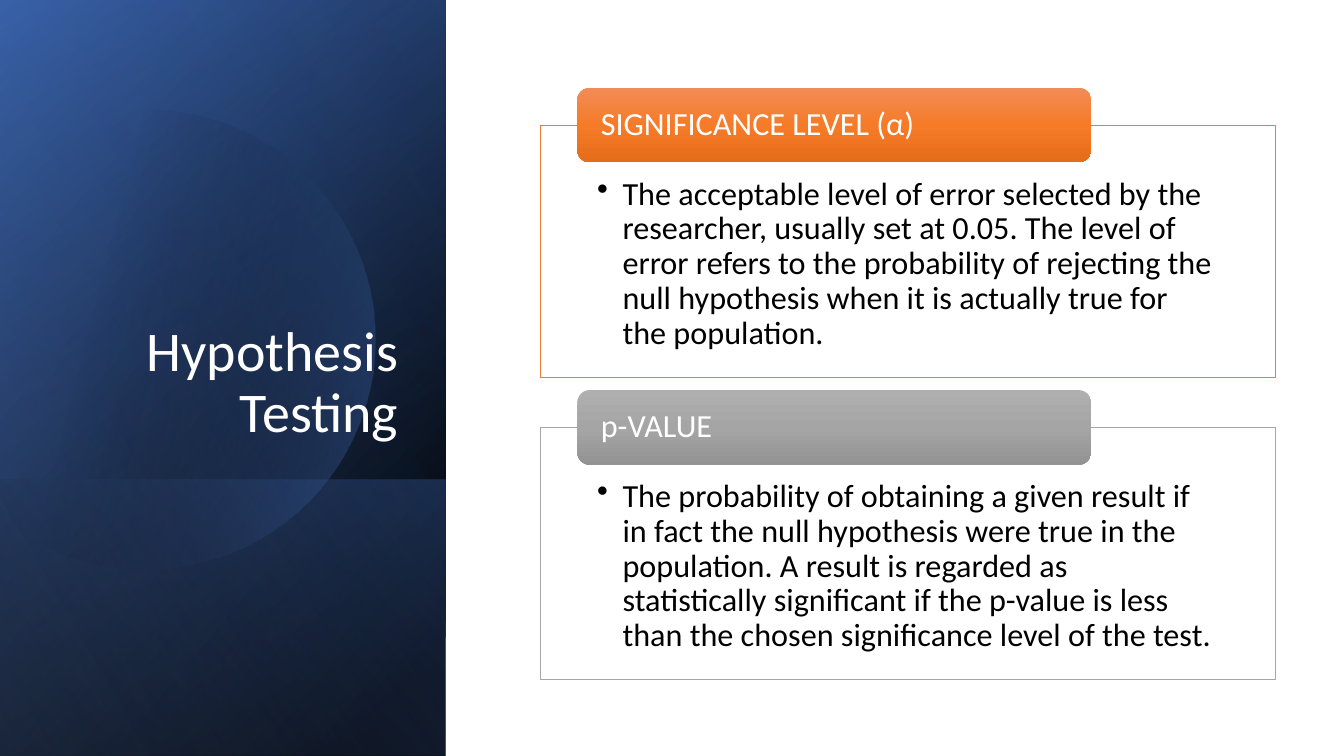
from math import acos, cos, sin

from lxml.etree import SubElement
from pptx import Presentation
from pptx.dml.color import RGBColor
from pptx.enum.shapes import MSO_SHAPE
from pptx.enum.text import MSO_ANCHOR, PP_ALIGN
from pptx.oxml.ns import qn
from pptx.util import Cm, Pt

WHITE = RGBColor(0xFF, 0xFF, 0xFF)
BLACK = RGBColor(0x00, 0x00, 0x00)
NAVY = RGBColor(0x2F, 0x55, 0x97)
BLUE = RGBColor(0x44, 0x72, 0xC4)
PALE = RGBColor(0x8F, 0xAA, 0xDC)
ORANGE = RGBColor(0xED, 0x7D, 0x31)
GRAY = RGBColor(0xA5, 0xA5, 0xA5)
ORANGES = [RGBColor(0xF1, 0x8C, 0x57), RGBColor(0xF6, 0x7B, 0x28), RGBColor(0xE5, 0x6C, 0x19)]
GRAYS = [RGBColor(0xAF, 0xAF, 0xAF), GRAY, RGBColor(0x93, 0x93, 0x93)]


def shade(shape, angle, stops):
    """Fill with a linear gradient; stops are (percent, colour, opacity percent)."""
    shape.shadow.inherit = False
    shape.line.fill.background()
    shape.fill.gradient()
    grad = shape._element.spPr.find(qn("a:gradFill"))
    for child in list(grad):
        grad.remove(child)
    group = SubElement(grad, qn("a:gsLst"))
    for pos, color, alpha in stops:
        stop = SubElement(group, qn("a:gs"), pos=str(pos * 1000))
        tint = SubElement(stop, qn("a:srgbClr"), val=str(color))
        if alpha < 100:
            SubElement(tint, qn("a:alpha"), val=str(alpha * 1000))
    SubElement(grad, qn("a:lin"), ang=str(angle * 60000), scaled="0")


def write(shape, text, size, color, anchor, align=PP_ALIGN.LEFT):
    frame = shape.text_frame
    frame.word_wrap = True
    frame.vertical_anchor = anchor
    frame.text = text
    para = frame.paragraphs[0]
    para.alignment = align
    para.line_spacing = 0.9
    para.font.name = "Calibri"
    para.font.size = Pt(size)
    para.font.color.rgb = color
    return frame


deck = Presentation()
deck.slide_width, deck.slide_height = Cm(33.87), Cm(19.05)
slide = deck.slides.add_slide(deck.slide_layouts[5])
shapes = slide.shapes

# Side panel: layered gradients with a large disc cut off at the slide's edge
wide, high, band = Cm(11.23), Cm(19.05), Cm(12.09)
layers = [
    (0, 220, [(8, BLACK, 100), (100, NAVY, 100)]),
    (0, 240, [(0, BLACK, 0), (99, BLUE, 46)]),
    (band, 140, [(2, BLUE, 29), (100, BLACK, 30)]),
    ("disc", 14, [(29, BLACK, 0), (100, BLUE, 43)]),
    (0, 150, [(0, BLACK, 0), (99, PALE, 11)]),
]
mid_x, mid_y, radius = 3.68, 8.56, 5.79
reach = acos(-mid_x / radius)
steps = 80
arc = []
for step in range(steps + 1):
    turn = reach * (2 * step / steps - 1)
    arc.append((Cm(mid_x + radius * cos(turn)), Cm(mid_y + radius * sin(turn))))

for top, angle, stops in layers:
    if top == "disc":
        pen = shapes.build_freeform(*arc[0])
        pen.add_line_segments(arc[1:], close=True)
        layer = pen.convert_to_shape()
    else:
        layer = shapes.add_shape(MSO_SHAPE.RECTANGLE, 0, top, wide, high - top)
    shade(layer, angle, stops)

title = shapes.title
title.left, title.top, title.width, title.height = Cm(1.63), Cm(4.67), Cm(8.66), Cm(6.65)
write(title, "Hypothesis Testing", 40, WHITE, MSO_ANCHOR.BOTTOM, PP_ALIGN.RIGHT)
shapes._spTree.append(title._element)

# Two cards, each a framed text with a heading tab on its top edge
cards = [
    ("SIGNIFICANCE LEVEL (α)",
     "The acceptable level of error selected by the researcher, usually set at 0.05. "
     "The level of error refers to the probability of rejecting the null hypothesis "
     "when it is actually true for the population.", ORANGE, ORANGES),
    ("p-VALUE",
     "The probability of obtaining a given result if in fact the null hypothesis were "
     "true in the population. A result is regarded as statistically significant if the "
     "p-value is less than the chosen significance level of the test.", GRAY, GRAYS),
]
for index, (head, body, edge, tones) in enumerate(cards):
    top = Cm(2.21) + index * Cm(7.62)
    box = shapes.add_shape(MSO_SHAPE.RECTANGLE, Cm(13.61), top + Cm(0.94), Cm(18.52), Cm(6.35))
    box.shadow.inherit = False
    box.fill.solid()
    box.fill.fore_color.rgb = WHITE
    tint = box._element.spPr.find(qn("a:solidFill"))[0]
    SubElement(tint, qn("a:alpha"), val="90000")
    box.line.color.rgb = edge
    box.line.width = Pt(0.5)
    frame = write(box, body, 23, BLACK, MSO_ANCHOR.TOP)
    frame.margin_left = frame.margin_right = Cm(1.44)
    frame.margin_top, frame.margin_bottom = Cm(1.32), Cm(0.45)
    para = frame.paragraphs[0]
    para.level = 1
    props = para._p.get_or_add_pPr()
    props.set("marL", str(Cm(0.64)))
    props.set("indent", str(-Cm(0.64)))
    bullet = props.makeelement(qn("a:buChar"), {"char": "•"})
    props.find(qn("a:defRPr")).addprevious(bullet)

    tab = shapes.add_shape(MSO_SHAPE.ROUNDED_RECTANGLE, Cm(14.55), top, Cm(12.95), Cm(1.88))
    shade(tab, 90, [(pos, tone, 100) for pos, tone in zip((0, 50, 100), tones)])
    frame = write(tab, head, 23, WHITE, MSO_ANCHOR.MIDDLE)
    frame.margin_left = frame.margin_right = Cm(0.5)
    frame.margin_top = frame.margin_bottom = 0

deck.save("out.pptx")
